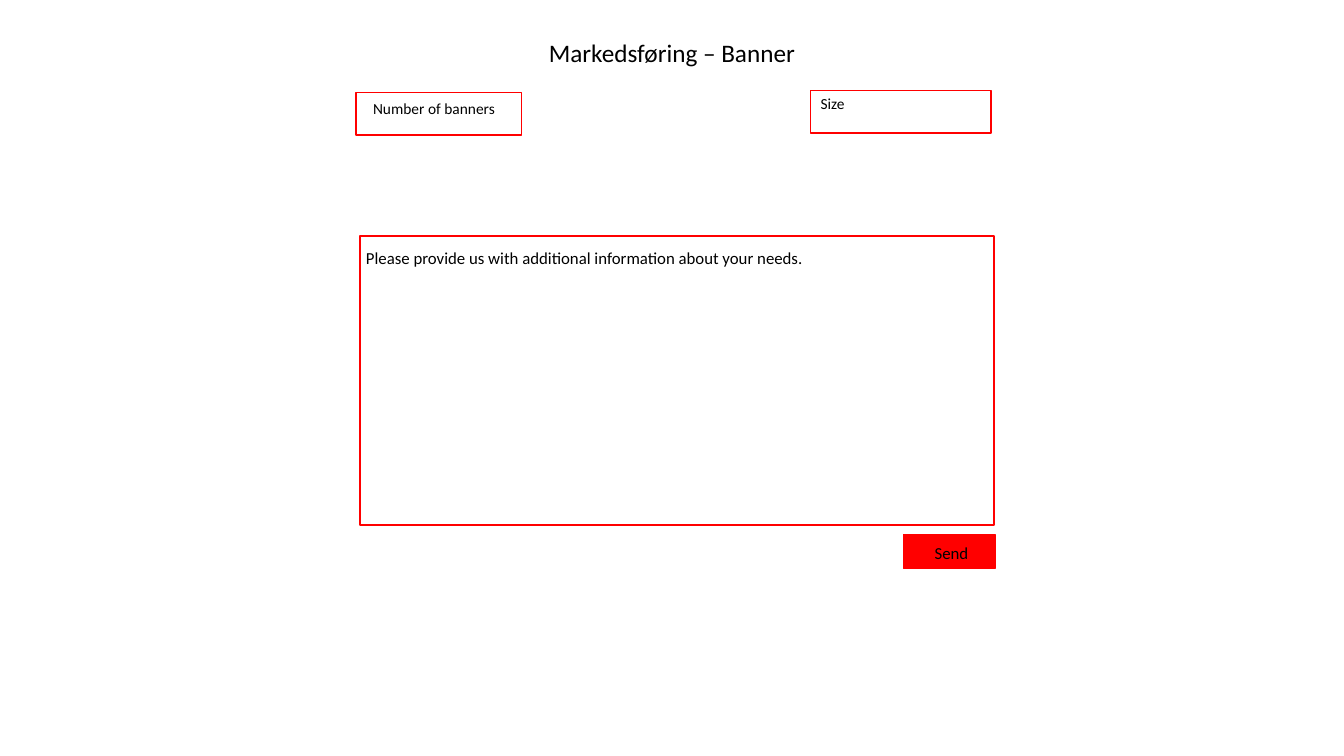
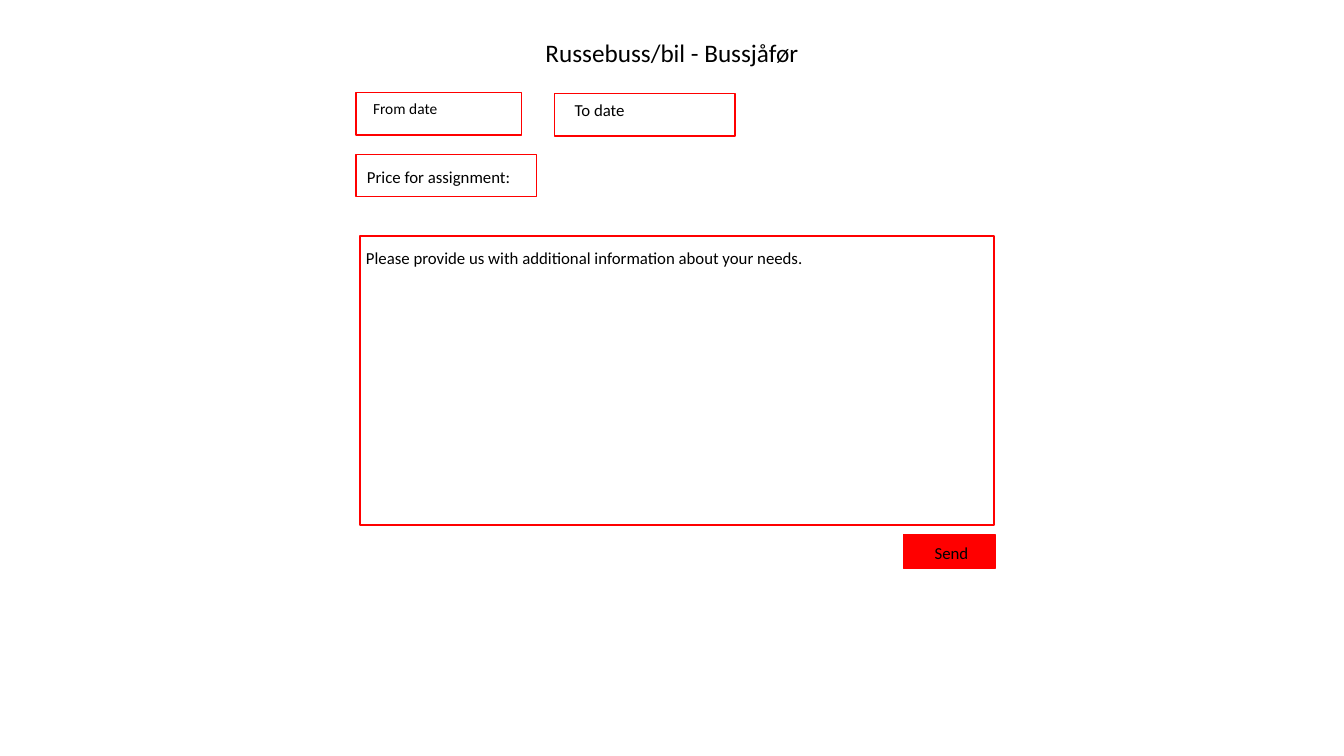
"""Build two order forms that share a title, a details field and a send button."""
from pptx import Presentation
from pptx.dml.color import RGBColor
from pptx.enum.shapes import MSO_SHAPE
from pptx.enum.text import MSO_ANCHOR, PP_ALIGN
from pptx.util import Inches, Pt

RECT = MSO_SHAPE.RECTANGLE
TOP = MSO_ANCHOR.TOP
LEFT, CENTER = PP_ALIGN.LEFT, PP_ALIGN.CENTER
FONT = "Calibri"
BLACK, WHITE, RED = "000000", "FFFFFF", "FF0000"
WIDE, HIGH = 13.33, 7.5
NARROW, BROAD, ROW = 1.64, 1.79, 0.42

FORMS = [
    {
        "title": "Markedsføring – Banner",
        "fields": [
            ("Number of banners", (3.53, 0.92, NARROW, ROW), (0.17, 0.06), 11),
            ("Size", (8.04, 0.9, BROAD, ROW), (0.1, 0.03), 11),
        ],
    },
    {
        "title": "Russebuss/bil - Bussjåfør",
        "fields": [
            ("From date", (3.53, 0.92, NARROW, ROW), (0.17, 0.06), 11),
            ("To date", (5.5, 0.93, BROAD, ROW), (0.2, 0.06), 12),
            ("Price for assignment:", (3.53, 1.53, BROAD, ROW), (0.11, 0.12), 12),
        ],
    },
]
DETAILS = ("Please provide us with additional information about your needs.",
           (3.57, 2.34, 6.29, 2.87), (0.06, 0.12), 12)
SEND = ("Send", (8.96, 5.3, 0.91, 0.34), (0.31, 0.08), 12)


def color(code):
    return RGBColor.from_string(code)


def write(shape, text, size=12, align=LEFT, inset=(0.1, 0.05)):
    frame = shape.text_frame
    frame.word_wrap = True
    frame.vertical_anchor = TOP
    frame.margin_left, frame.margin_top = map(Inches, inset)
    frame.margin_right = frame.margin_bottom = 0
    line = frame.paragraphs[0]
    line.text = text
    line.alignment = align
    line.font.name = FONT
    line.font.size = Pt(size)
    line.font.color.rgb = color(BLACK)


def add_field(slide, text, area, inset, size, fill=WHITE):
    box = slide.shapes.add_shape(RECT, *map(Inches, area))
    box.shadow.inherit = False
    box.fill.solid()
    box.fill.fore_color.rgb = color(fill)
    box.line.color.rgb = color(RED)
    box.line.width = Pt(1)
    write(box, text, size=size, inset=inset)


def add_form(deck, form):
    slide = deck.slides.add_slide(deck.slide_layouts[6])
    title = slide.shapes.add_textbox(0, Inches(0.32), Inches(WIDE), Inches(0.42))
    write(title, form["title"], size=18, align=CENTER, inset=(0, 0.05))
    for field in form["fields"] + [DETAILS]:
        add_field(slide, *field)
    add_field(slide, *SEND, fill=RED)


def main():
    deck = Presentation()
    deck.slide_width, deck.slide_height = Inches(WIDE), Inches(HIGH)
    for form in FORMS:
        add_form(deck, form)
    deck.save("out.pptx")


if __name__ == "__main__":
    main()
